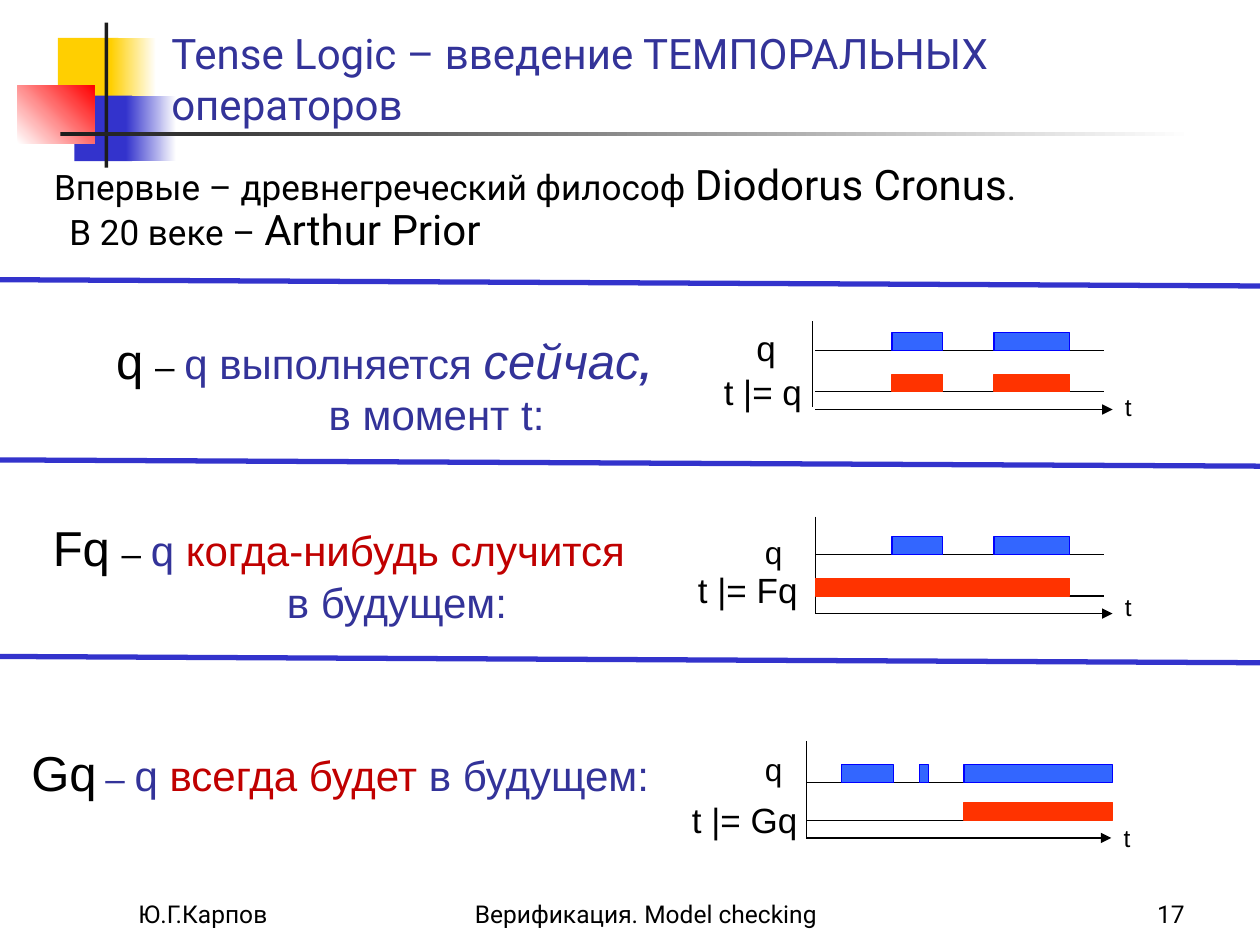
from dataclasses import dataclass
from typing import NamedTuple

from lxml.etree import SubElement
from pptx import Presentation
from pptx.dml.color import RGBColor
from pptx.enum.shapes import MSO_CONNECTOR, MSO_SHAPE
from pptx.enum.text import MSO_ANCHOR, MSO_AUTO_SIZE, PP_ALIGN
from pptx.oxml.ns import qn
from pptx.util import Inches, Pt

BLACK = RGBColor(0x00, 0x00, 0x00)
WHITE = RGBColor(0xFF, 0xFF, 0xFF)
CHARCOAL = RGBColor(0x1C, 0x1C, 0x1C)
YELLOW = RGBColor(0xFF, 0xCF, 0x01)
RED = RGBColor(0xFF, 0x00, 0x00)
BLUE = RGBColor(0x33, 0x33, 0xCC)
INDIGO = RGBColor(0x33, 0x33, 0x99)
CRIMSON = RGBColor(0xC0, 0x00, 0x00)
BAR_BLUE = RGBColor(0x33, 0x66, 0xFF)
BAR_EDGE = RGBColor(0x00, 0x00, 0xFF)
BAR_RED = RGBColor(0xFF, 0x33, 0x00)

BAR_HEIGHT = 0.14


class Box(NamedTuple):
    left: float
    top: float
    width: float
    height: float

    def emu(self):
        return [Inches(v) for v in self]


class Run(NamedTuple):
    text: str
    size: int
    color: RGBColor = BLACK
    italic: bool = False
    bold: bool = False


class Label(NamedTuple):
    text: str
    size: int
    box: Box


class Bar(NamedTuple):
    left: float
    width: float


@dataclass
class Timeline:
    """One chart of when q, and the formula built on it, hold over time."""
    x: float
    axis_x: float
    axis_top: float
    axis_bottom: float
    q_y: float
    formula_y: float
    time_y: float
    q_bars: list[Bar]
    formula_bars: list[Bar]
    labels: list[Label]
    rail: float = 2.29
    arrow: float = 2.36


@dataclass
class Definition:
    box: Box
    lines: list[list[Run]]
    second_line_indent: float = 0


def add_runs(p, runs: list[Run], font: str) -> None:
    for run in runs:
        r = p.add_run()
        r.text = run.text
        r.font.name = font
        r.font.size = Pt(run.size)
        r.font.color.rgb = run.color
        r.font.italic = run.italic
        r.font.bold = run.bold


def add_rect(shapes, box: Box, fill: RGBColor, line: RGBColor | None = None,
             fade_to: RGBColor | None = None, angle: float = 0) -> None:
    sp = shapes.add_shape(MSO_SHAPE.RECTANGLE, *box.emu())
    sp.shadow.inherit = False
    if fade_to is None:
        sp.fill.solid()
        sp.fill.fore_color.rgb = fill
    else:
        sp.fill.gradient()
        sp.fill.gradient_angle = angle
        for stop, color in zip(sp.fill.gradient_stops, (fill, fade_to)):
            stop.color.rgb = color
    if line is None:
        sp.line.fill.background()
    else:
        sp.line.color.rgb = line
        sp.line.width = Pt(0.75)


def add_line(shapes, start: tuple[float, float], end: tuple[float, float],
             color: RGBColor = BLACK, width: float = 0.75, arrow: bool = False) -> None:
    c = shapes.add_connector(MSO_CONNECTOR.STRAIGHT,
                             *(Inches(v) for v in (*start, *end)))
    c.line.color.rgb = color
    c.line.width = Pt(width)
    if arrow:
        SubElement(c.line._get_or_add_ln(), qn("a:tailEnd"), type="triangle")
    SubElement(c._element.spPr, qn("a:effectLst"))


def add_text(shapes, box: Box, lines: list[list[Run]], align=PP_ALIGN.CENTER,
             font: str = "Arial", wrap: bool = True, footer: bool = False):
    tf = shapes.add_textbox(*box.emu()).text_frame
    tf.word_wrap = wrap
    if footer:
        tf.vertical_anchor = MSO_ANCHOR.BOTTOM
    else:
        tf.margin_left = tf.margin_right = Inches(0.06)
        tf.margin_top = tf.margin_bottom = Inches(0.03)
    for i, runs in enumerate(lines):
        p = tf.add_paragraph() if i else tf.paragraphs[0]
        p.alignment = align
        add_runs(p, runs, font)
    return tf


def add_definition(shapes, d: Definition) -> None:
    tf = add_text(shapes, d.box, d.lines)
    if d.second_line_indent:
        tf.paragraphs[1]._p.get_or_add_pPr().set("marL", str(Inches(d.second_line_indent)))


def add_timeline(shapes, t: Timeline) -> None:
    group = shapes.add_group_shape().shapes
    add_line(group, (t.axis_x, t.axis_top), (t.axis_x, t.axis_bottom))
    add_line(group, (t.x, t.time_y), (t.x + t.arrow, t.time_y), arrow=True)
    for y, bars, fill, edge in ((t.q_y, t.q_bars, BAR_BLUE, BAR_EDGE),
                                (t.formula_y, t.formula_bars, BAR_RED, BAR_RED)):
        add_line(group, (t.x, y), (t.x + t.rail, y))
        for bar in bars:
            add_rect(group, Box(bar.left, y - BAR_HEIGHT, bar.width, BAR_HEIGHT), fill, edge)
    for label in t.labels:
        add_text(group, label.box, [[Run(label.text, label.size)]], wrap=False)


def add_decoration(shapes) -> None:
    add_rect(shapes, Box(0.46, 0.3, 0.48, 0.52), YELLOW)
    add_rect(shapes, Box(0.88, 0.3, 0.36, 0.52), YELLOW, fade_to=WHITE)
    add_rect(shapes, Box(0.59, 0.76, 0.46, 0.52), BLUE)
    add_rect(shapes, Box(1, 0.76, 0.4, 0.52), BLUE, fade_to=WHITE)
    add_rect(shapes, Box(0.14, 0.68, 0.61, 0.46), WHITE, fade_to=RED, angle=45)
    add_rect(shapes, Box(0.83, 0.18, 0.03, 1.15), CHARCOAL)
    add_rect(shapes, Box(0.48, 1.05, 9, 0.03), CHARCOAL, fade_to=WHITE)


def prepare_placeholder(sp, box: Box):
    """Move a placeholder in front of the decoration and return its first paragraph."""
    sp.left, sp.top, sp.width, sp.height = box.emu()
    sp._element.getparent().append(sp._element)
    sp.text_frame.auto_size = MSO_AUTO_SIZE.NONE
    p = sp.text_frame.paragraphs[0]
    p.alignment = PP_ALIGN.LEFT
    return p


PAIR = [Bar(7.08, 0.4), Bar(7.89, 0.6)]
TIMELINES = [
    Timeline(6.47, 6.45, 2.55, 3.23, 2.78, 3.11, 3.25, PAIR, PAIR,
             [Label("q", 20, Box(5.94, 2.56, 0.28, 0.4)),
              Label("t |= q", 20, Box(5.62, 2.91, 0.87, 0.4)),
              Label("t", 14, Box(8.82, 3.08, 0.27, 0.3))]),
    Timeline(6.47, 6.47, 4.1, 4.87, 4.4, 4.73, 4.87, PAIR, [Bar(6.47, 2.02)],
             [Label("q", 18, Box(5.94, 4.2, 0.4, 0.37)),
              Label("t |= Fq", 20, Box(5.39, 4.48, 1.09, 0.4)),
              Label("t", 14, Box(8.82, 4.67, 0.27, 0.3))]),
    Timeline(6.4, 6.4, 5.88, 6.65, 6.21, 6.51, 6.65,
             [Bar(6.68, 0.41), Bar(7.3, 0.07), Bar(7.65, 1.18)], [Bar(7.65, 1.18)],
             [Label("q", 18, Box(5.93, 5.92, 0.42, 0.37)),
              Label("t |= Gq", 20, Box(5.37, 6.31, 1.08, 0.4)),
              Label("t", 14, Box(8.81, 6.5, 0.27, 0.3))], rail=2.35, arrow=2.42),
]
DEFINITIONS = [
    Definition(Box(0.39, 2.59, 5.31, 0.94),
               [[Run("q", 28), Run(" ", 24), Run("– ", 20), Run("q выполняется ", 24, INDIGO),
                 Run("сейчас", 28, INDIGO, italic=True),
                 Run(",", 24, INDIGO, italic=True, bold=True)],
                [Run("в момент t:", 24, INDIGO)]], 0.84),
    Definition(Box(0.23, 4.08, 4.92, 0.94),
               [[Run("Fq", 28), Run(" ", 24), Run("– ", 20), Run("q ", 24, INDIGO),
                 Run("когда-нибудь случится", 24, CRIMSON)],
                [Run("в будущем:", 24, INDIGO)]], 0.92),
    Definition(Box(0.16, 5.86, 5.08, 0.53),
               [[Run("Gq", 28), Run(" ", 18), Run("– ", 20, INDIGO), Run("q ", 24, INDIGO),
                 Run("всегда будет", 24, CRIMSON), Run(" в будущем:", 24, INDIGO)]]),
]
FOOTERS = [
    ("Ю.Г.Карпов", Box(1, 6.92, 2.08, 0.5), PP_ALIGN.LEFT),
    ("Верификация. Model checking", Box(3.67, 6.92, 3.17, 0.5), PP_ALIGN.LEFT),
    ("17", Box(7.42, 6.92, 2.08, 0.5), PP_ALIGN.RIGHT),
]


def main() -> None:
    prs = Presentation()
    prs.slide_width, prs.slide_height = Inches(10), Inches(7.5)
    s = prs.slides.add_slide(prs.slide_layouts[1])
    title, body = s.placeholders
    add_decoration(s.shapes)

    p = prepare_placeholder(title, Box(1.26, 0.22, 8.52, 0.8))
    title.text_frame.vertical_anchor = MSO_ANCHOR.MIDDLE
    add_runs(p, [Run("Tense Logic – введение ТЕМПОРАЛЬНЫХ операторов", 24, INDIGO)], "Roboto")

    p = prepare_placeholder(body, Box(0, 1.25, 9.72, 0.88))
    p.line_spacing = 0.9
    pPr = p._p.get_or_add_pPr()
    pPr.set("marL", str(Inches(0.45)))
    pPr.set("indent", str(Inches(-0.12)))
    SubElement(pPr, qn("a:buNone"))
    add_runs(p, [Run("Впервые – древнегреческий философ ", 20),
                 Run("Diodorus Cronus", 24), Run(".", 20)], "Roboto")
    p.add_line_break()
    add_runs(p, [Run("В 20 веке – ", 20), Run("Arthur Prior", 24)], "Roboto")

    for y in (2.22, 3.65, 5.21):
        add_line(s.shapes, (0, y), (10, y + 0.05), BLUE, 3)
    for definition, timeline in zip(DEFINITIONS, TIMELINES):
        add_definition(s.shapes, definition)
        add_timeline(s.shapes, timeline)
    for text, box, align in FOOTERS:
        add_text(s.shapes, box, [[Run(text, 14)]], align, "Roboto", footer=True)
    prs.save("out.pptx")


if __name__ == "__main__":
    main()
